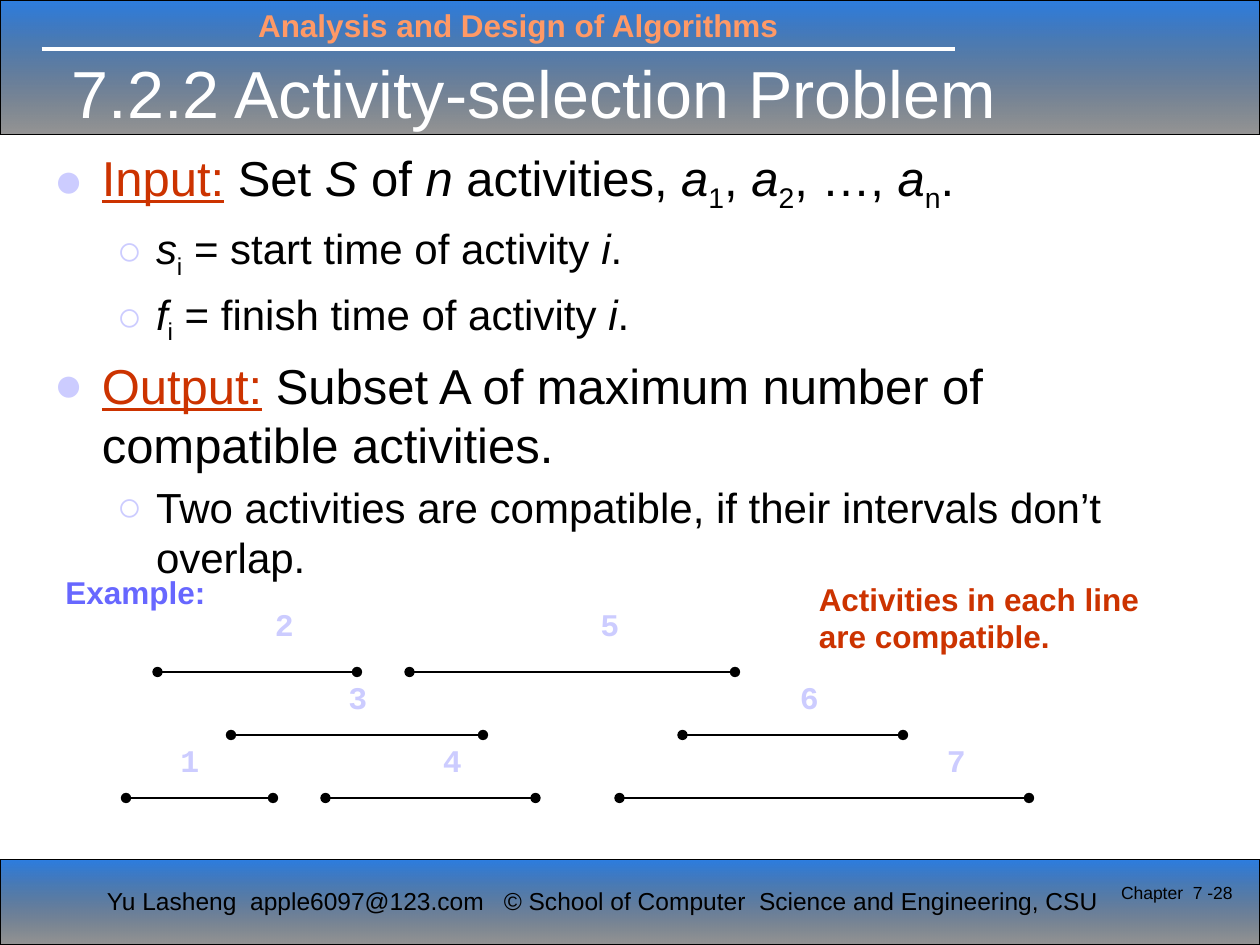
"""Build the activity-selection slide."""
from lxml import etree
from pptx import Presentation
from pptx import util as u
from pptx.dml.color import RGBColor
from pptx.enum import shapes, text
from pptx.oxml import ns

BLUE = RGBColor(0x0E, 0x6B, 0xDC)
BLACK = RGBColor(0, 0, 0)
WHITE = RGBColor(255, 255, 255)
ORANGE = RGBColor(0xFF, 0x99, 0x66)
RED = RGBColor(0xCC, 0x33, 0x00)
LILAC = RGBColor(0xCC, 0xCC, 0xFF)
VIOLET = RGBColor(0x67, 0x67, 0xFF)

WIDE, HIGH = 10, 7.5
CELL = 1 / 12
TITLE = "7.2.2 Activity-selection Problem"
BANDS = [(0, 1.07), (6.82, 0.68)]
STOPS = [(BLUE, 88), (BLACK, 41)]
LEVELS = [("●", 28, 0.38, 0.38), ("○", 24, 0.81, 0.31)]
BODY = [
    (0, [("Input:", "key"), (" Set ", ""), ("S", "it"), (" of ", ""), ("n ", "it"),
         ("activities, ", ""), ("a", "it"), ("1", "sub"), (", ", ""), ("a", "it"),
         ("2", "sub"), (", …, ", ""), ("a", "it"), ("n", "sub"), (".", "")]),
    (1, [("s", "it"), ("i", "sub"), (" = start time of activity ", ""), ("i", "it"), (".", "")]),
    (1, [("f", "it"), ("i", "sub"), (" = finish time of activity ", ""), ("i", "it"), (".", "")]),
    (0, [("Output:", "key"), (" Subset A of maximum number of compatible activities.", "")]),
    (1, [("Two activities are compatible, if their intervals don’t overlap.", "")]),
]
NOTES = [
    ((1.95, 0, 5, 0.4), ["Analysis and Design of Algorithms"], 18, ORANGE, True),
    ((0.75, 6.98, 3.21, 0.34), ["Yu Lasheng  apple6097@123.com"], 14, BLACK, False),
    ((3.9, 6.98, 5.12, 0.34), ["© School of Computer  Science and Engineering, CSU"],
     14, BLACK, False),
    ((0.42, 4.5, 1.32, 0.4), ["Example:"], 18, VIOLET, True),
    ((6.4, 4.55, 2.87, 0.71), ["Activities in each line", "are compatible."], 18, RED, True),
]
PAGE = ((8.62, 6.95, 1.26, 0.5), ["Chapter  7 -28"], 10, BLACK, False)
ROWS = [(64, 57), (70, 64), (76, 70)]
SPANS = [("1", 2, 12, 26, 16), ("2", 0, 15, 34, 25), ("3", 1, 22, 46, 32),
         ("4", 2, 31, 51, 41), ("5", 0, 39, 70, 56), ("6", 1, 65, 86, 75),
         ("7", 2, 59, 98, 89)]


def inches(box):
    return [u.Inches(v) for v in box]


def style(para, size, color, bold=False, face="Arial"):
    font = para.font
    font.name, font.size, font.bold = face, u.Pt(size), bold
    font.color.rgb = color


def add(parent, tag, **attrs):
    return etree.SubElement(parent, ns.qn("a:" + tag), attrs)


def frame(slide, box):
    area = slide.shapes.add_textbox(*inches(box)).text_frame
    area.word_wrap = True
    return area


def write(slide, box, lines, size, color, bold, face="Arial"):
    area = frame(slide, box)
    area.text = "\n".join(lines)
    for para in area.paragraphs:
        style(para, size, color, bold, face)
    return area


def band(slide, top, high):
    bar = slide.shapes.add_shape(shapes.MSO_SHAPE.RECTANGLE, *inches((0, top, WIDE, high)))
    bar.shadow.inherit = False
    bar.line.color.rgb, bar.line.width = BLACK, u.Pt(0.75)
    bar.fill.gradient()
    bar.fill.gradient_angle = 270
    for stop, (color, _) in zip(bar.fill.gradient_stops, STOPS):
        stop.color.rgb = color
    tints = bar._element.spPr.find(ns.qn("a:gradFill")).iter(ns.qn("a:srgbClr"))
    for tint, (_, share) in zip(tints, STOPS):
        add(tint, "alpha", val=str(share * 1000))


def rule(slide, left, right, y, color, width, dots=False):
    link = slide.shapes.add_connector(
        shapes.MSO_CONNECTOR.STRAIGHT, *inches((left, y, right, y)))
    link.line.color.rgb, link.line.width = color, u.Pt(width)
    if dots:
        for end in ("headEnd", "tailEnd"):
            add(link.line._get_or_add_ln(), end, type="oval")
    add(link._element.spPr, "effectLst")


def body(slide):
    area = frame(slide, (0.33, 1.12, 9.25, 3.33))
    for n, (level, parts) in enumerate(BODY):
        para = area.paragraphs[0] if n == 0 else area.add_paragraph()
        mark, size, left, hang = LEVELS[level]
        para.level = level
        props = para._p.get_or_add_pPr()
        props.set("marL", str(u.Inches(left)))
        props.set("indent", str(-u.Inches(hang)))
        if n:
            add(add(props, "spcBef"), "spcPct", val="20000")
        add(add(props, "buClr"), "srgbClr", val=str(LILAC))
        add(props, "buFont", typeface="Arial")
        add(props, "buChar", char=mark)
        style(para, size, BLACK)
        for words, kind in parts:
            run = para.add_run()
            run.text = words
            if kind == "key":
                run.font.color.rgb, run.font.underline = RED, True
            elif kind == "it":
                run.font.italic = True
            elif kind == "sub":
                run._r.get_or_add_rPr().set("baseline", "-25000")


def head(slide):
    title = slide.shapes.title
    slide.shapes._spTree.append(title._element)
    title.left, title.top, title.width, title.height = inches((0.47, 0.39, 7.81, 0.68))
    area = title.text_frame
    area.text = TITLE
    area.auto_size = text.MSO_AUTO_SIZE.NONE
    area.vertical_anchor = text.MSO_ANCHOR.MIDDLE
    area.paragraphs[0].alignment = text.PP_ALIGN.LEFT
    style(area.paragraphs[0], 38, WHITE)


def main():
    deck = Presentation()
    deck.slide_width, deck.slide_height = inches((WIDE, HIGH))
    slide = deck.slides.add_slide(deck.slide_layouts[5])
    for top, high in BANDS:
        band(slide, top, high)
    rule(slide, 0.33, 7.58, 0.39, WHITE, 2.25)
    head(slide)
    body(slide)
    for note in NOTES:
        write(slide, *note)
    page = write(slide, *PAGE)
    page.paragraphs[0].alignment = text.PP_ALIGN.RIGHT
    for name, row, start, end, spot in SPANS:
        y, top = ROWS[row]
        rule(slide, start * CELL, end * CELL, y * CELL, BLACK, 1, True)
        write(slide, (spot * CELL, top * CELL, 0.4, 0.51), [name], 18, LILAC, True, "Courier New")
    deck.save("out.pptx")


if __name__ == "__main__":
    main()
